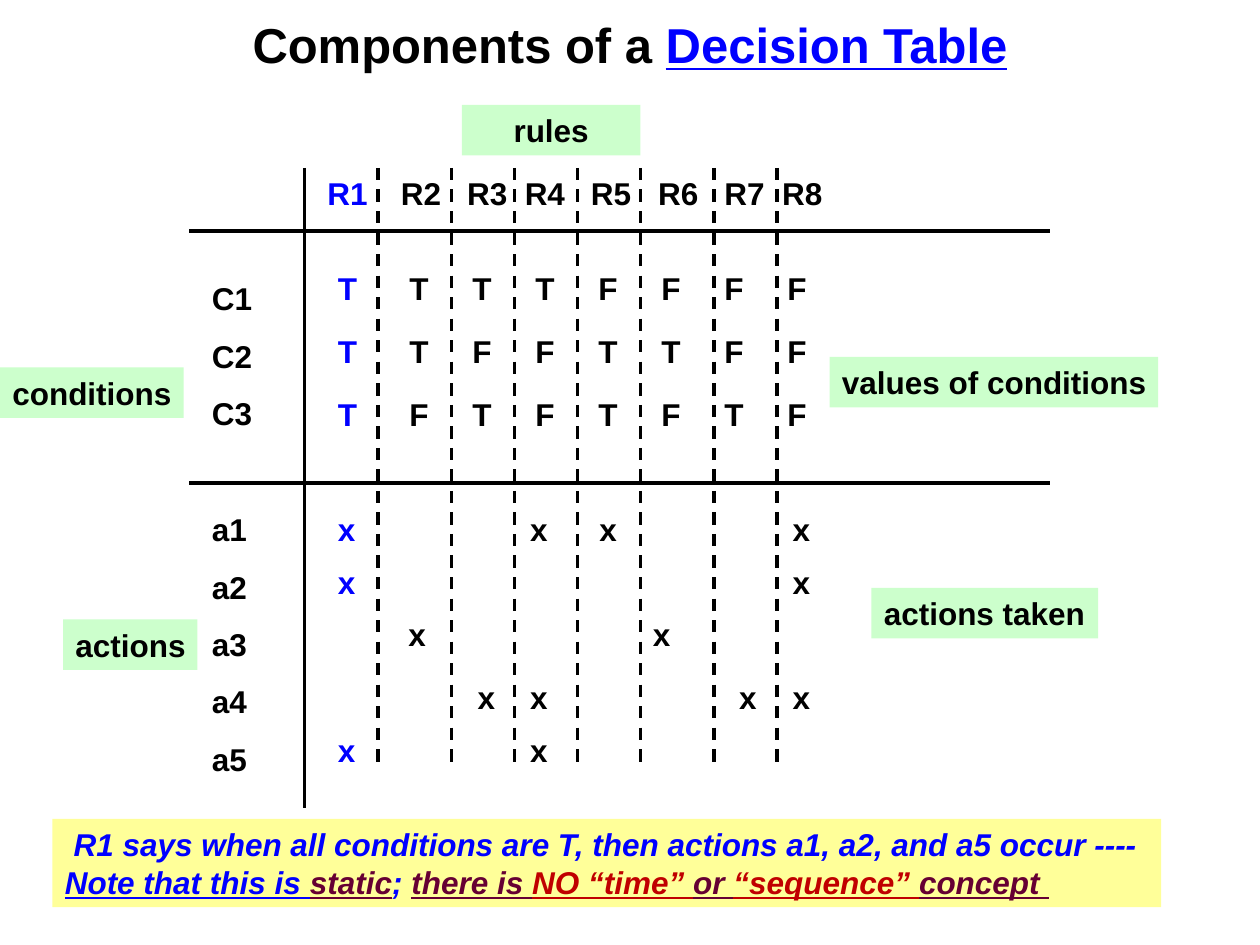
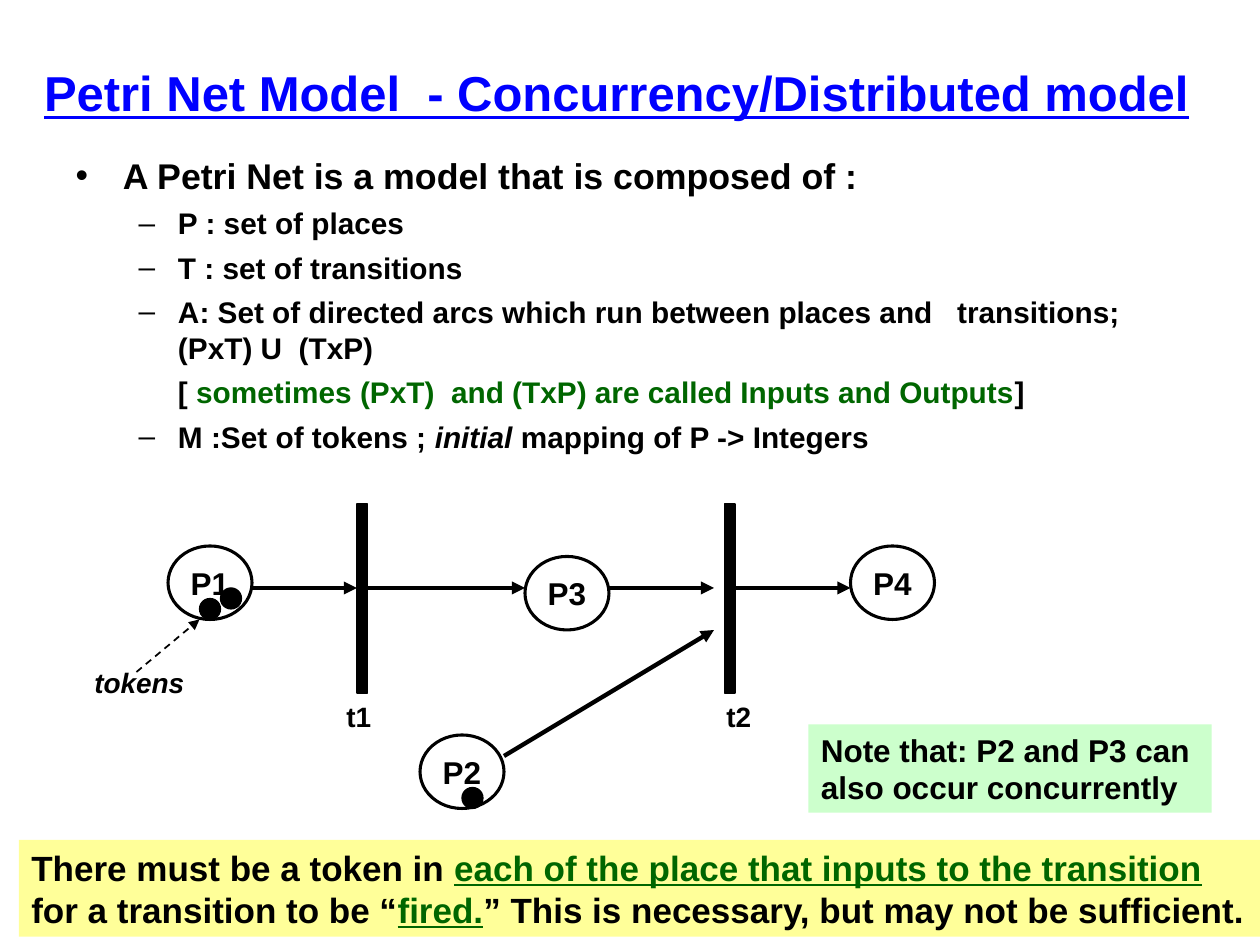
from dataclasses import dataclass
from typing import Optional

from lxml.etree import SubElement
from pptx import Presentation
from pptx.dml.color import RGBColor
from pptx.enum.dml import MSO_LINE
from pptx.enum.shapes import MSO_CONNECTOR, MSO_SHAPE
from pptx.enum.text import MSO_ANCHOR, MSO_AUTO_SIZE, PP_ALIGN
from pptx.oxml.ns import qn
from pptx.util import Inches, Pt

COLS, ROWS = 120, 90
CELL = Inches(10) / COLS
INSET = 1.2
LINE_H = 4.8
BLACK, WHITE, BLUE = "000000", "FFFFFF", "0000FF"
GREEN, WINE, RED = "006600", "660033", "C00000"
MINT, CREAM = "CCFFCC", "FFFF99"
FONT = "Arial"


@dataclass(frozen=True)
class Box:
    left: float
    top: float
    wide: float
    high: float


@dataclass(frozen=True)
class Run:
    text: str
    color: Optional[str] = None
    under: Optional[bool] = None
    slant: Optional[bool] = None


@dataclass(frozen=True)
class Para:
    runs: tuple[Run, ...]
    size: float = 18
    color: str = BLACK
    slant: bool = False
    before: float = 0
    level: int = 0
    align: PP_ALIGN = PP_ALIGN.LEFT
    stops: tuple[float, ...] = ()
    bullet: bool = True


@dataclass(frozen=True)
class Label:
    text: str
    box: Box
    align: PP_ALIGN = PP_ALIGN.LEFT


@dataclass(frozen=True)
class Line:
    start: tuple[float, float]
    end: tuple[float, float]
    width: float = 2.5
    dash: bool = False
    arrow: bool = True


@dataclass(frozen=True)
class Band:
    left: float
    stops: tuple[float, ...]
    rows: tuple[tuple[float, str], ...]


def grid(count: float) -> int:
    return round(count * CELL)


def area(box: Box) -> tuple[int, ...]:
    return tuple(grid(n) for n in (box.left, box.top, box.wide, box.high))


def paint(target, code: str) -> None:
    target.rgb = RGBColor.from_string(code)


def plain(text: str, **look) -> Para:
    return Para((Run(text),), **look)


def write(frame, paras: list[Para], wrap: bool = True) -> None:
    frame.word_wrap = wrap
    frame.auto_size = MSO_AUTO_SIZE.NONE
    for spot, para in enumerate(paras):
        item = frame.add_paragraph() if spot else frame.paragraphs[0]
        item.level, item.alignment = para.level, para.align
        item.space_before = Pt(para.before)
        font = item.font
        font.name, font.size, font.bold = FONT, Pt(para.size), True
        font.italic = para.slant
        paint(font.color, para.color)
        props = item._p.get_or_add_pPr()
        if not para.bullet:
            props.set("indent", "0")
            props.insert_element_before(props.makeelement(qn("a:buNone")), "a:defRPr")
        if para.stops:
            tabs = props.makeelement(qn("a:tabLst"))
            for stop in para.stops:
                SubElement(tabs, qn("a:tab"), pos=str(grid(stop)), algn="l")
            props.insert_element_before(tabs, "a:defRPr")
        for part in para.runs:
            run = item.add_run()
            run.text = part.text
            if part.color:
                paint(run.font.color, part.color)
            if part.under is not None:
                run.font.underline = part.under
            if part.slant is not None:
                run.font.italic = part.slant


def place(holder, box: Box, paras: list[Para]) -> None:
    holder.left, holder.top, holder.width, holder.height = area(box)
    write(holder.text_frame, paras)


def title(slide, box: Box, *runs: Run) -> None:
    place(slide.shapes.title, box, [Para(runs, 28, align=PP_ALIGN.CENTER)])
    slide.shapes.title.text_frame.vertical_anchor = MSO_ANCHOR.MIDDLE


def shape(slide, kind: MSO_SHAPE, box: Box, fill: str, edge: float = 0):
    item = slide.shapes.add_shape(kind, *area(box))
    item.shadow.inherit = False
    item.fill.solid()
    paint(item.fill.fore_color, fill)
    if edge:
        paint(item.line.color, BLACK)
        item.line.width = Pt(edge)
    else:
        item.line.fill.background()
    return item


def panel(slide, box: Box, fill: str, paras: list[Para]) -> None:
    item = shape(slide, MSO_SHAPE.RECTANGLE, box, fill)
    item.text_frame.vertical_anchor = MSO_ANCHOR.TOP
    write(item.text_frame, paras, False)


def tag(slide, label: Label) -> None:
    panel(slide, label.box, MINT, [plain(label.text, align=label.align)])


def note(slide, box: Box, paras: list[Para]) -> None:
    frame = slide.shapes.add_textbox(*area(box)).text_frame
    frame.margin_right = 0
    write(frame, paras)


def draw(slide, line: Line) -> None:
    ends = (grid(n) for n in line.start + line.end)
    item = slide.shapes.add_connector(MSO_CONNECTOR.STRAIGHT, *ends)
    paint(item.line.color, BLACK)
    item.line.width = Pt(line.width)
    if line.dash:
        item.line.dash_style = MSO_LINE.DASH
    if line.arrow:
        SubElement(item.line._get_or_add_ln(), qn("a:tailEnd"), type="triangle")
    SubElement(item._element.spPr, qn("a:effectLst"))


def fill_band(slide, band: Band) -> None:
    first = band.left + INSET
    stops = tuple(stop - first for stop in band.stops)
    for top, row in band.rows:
        head, *rest = (cell.strip(".") for cell in row.split())
        tail = "".join("\t" + cell for cell in rest).rstrip("\t")
        runs = tuple(Run(text, color) for text, color in ((head, BLUE), (tail, None)) if text)
        note(slide, Box(band.left, top, 50, LINE_H), [Para(runs, stops=stops)])


BANDS = (
    Band(30, (38.2, 44.5, 50, 56.3, 62.7, 69, 74.5), ((16, "R1 R2 R3 R4 R5 R6 R7 R8"),)),
    Band(31, tuple(39 + 6 * n for n in range(7)), (
        (25, "T T T T F F F F"),
        (31, "T T F F T T F F"),
        (37, "T F T F T F T F"),
    )),
    Band(31, (38.9, 45.5, 50.5, 57.1, 62.2, 70.4, 75.5), (
        (48, "x . . x x . . x"),
        (53, "x . . . . . . x"),
        (58, ". x . . . x . ."),
        (64, ". . x x . . x x"),
        (69, "x . . x . . . ."),
    )),
)
TAGS = (
    Label("conditions", Box(0, 35, 17.5, LINE_H)),
    Label("actions", Box(6, 59, 12.8, LINE_H)),
    Label("values of conditions", Box(79, 34, 31.3, LINE_H)),
    Label("actions taken", Box(83, 56, 21.6, LINE_H)),
    Label("rules", Box(44, 10, 17, LINE_H), PP_ALIGN.CENTER),
)
RULES = (
    Line((18, 46), (100, 46), 2, arrow=False),
    Line((18, 22), (100, 22), 2, arrow=False),
    Line((29, 16), (29, 77), 2, arrow=False),
    *(Line((x, 16), (x, 73), 1.75, True, False) for x in (36, 43, 49, 55, 61, 68, 74)),
)
PLACES = (("P1", 16, 52), ("P2", 40, 70), ("P3", 50, 53), ("P4", 81, 52))
GATES = (("t1", 34, 31.8), ("t2", 69, 68))
DOTS = ((19, 57), (44, 75), (21, 56))
ARCS = (
    Line((24, 56), (34, 56)),
    Line((48, 72), (68, 60)),
    Line((58, 56), (68, 56)),
    Line((35, 56), (50, 56)),
    Line((70, 56), (81, 56)),
    Line((13, 64), (19, 59), 1, True),
)


def table_slide(slide) -> None:
    title(slide, Box(6, 0, 108, 8.4), Run("Components of a "), Run("Decision Table", BLUE, True))
    for top, mark, count in ((26, "C", 3), (48, "a", 5)):
        names = [plain(f"{mark}{n}", before=11.2) for n in range(1, count + 1)]
        note(slide, Box(19, top, 8.8, 5.4 * count), names)
    for band in BANDS:
        fill_band(slide, band)
    for label in TAGS:
        tag(slide, label)
    panel(slide, Box(5, 78, 105.6, 8.4), CREAM, [
        plain(" R1 says when all conditions are T, then actions a1, a2, and a5 occur ----",
              color=BLUE, slant=True),
        Para((Run("Note that this is ", under=True), Run("static", WINE, True), Run("; "),
              Run("there is ", WINE, True), Run("NO “time” ", RED, True), Run("or ", WINE, True),
              Run("“sequence” ", RED, True), Run("concept ", WINE, True)),
             color=BLUE, slant=True),
    ])
    for line in RULES:
        draw(slide, line)


def net_slide(slide) -> None:
    title(slide, Box(2, 3.6, 113.4, 10.4),
          Run("Petri Net Model  - Concurrency/Distributed model", BLUE, True))
    sub = {"size": 17, "before": 5, "level": 1}
    place(slide.placeholders[1], Box(6, 14, 108, 30), [
        plain("A Petri Net is a model that is composed of :", size=20.4, before=6),
        plain("P : set of places", **sub),
        plain("T : set of transitions", **sub),
        plain("A: Set of directed arcs which run between places and   transitions; (PxT) U  (TxP)",
              **sub),
        Para((Run("[ "), Run("sometimes (PxT)  and (TxP) are called Inputs and Outputs", GREEN),
              Run("]")), bullet=False, **sub),
        Para((Run("M :Set of tokens ; "), Run("initial ", slant=True),
              Run("mapping of P -> Integers")), **sub),
    ])
    for name, left, top in PLACES:
        item = shape(slide, MSO_SHAPE.OVAL, Box(left, top, 8, 7), WHITE, 1.75)
        item.text_frame.vertical_anchor = MSO_ANCHOR.MIDDLE
        write(item.text_frame, [plain(name, align=PP_ALIGN.CENTER)], False)
    for name, left, edge in GATES:
        shape(slide, MSO_SHAPE.RECTANGLE, Box(left, 48, 1, 18), BLACK, 0.75)
        note(slide, Box(edge, 66, 4.7, 4.4), [plain(name, size=16)])
    for left, top in DOTS:
        shape(slide, MSO_SHAPE.OVAL, Box(left, top, 2, 2), BLACK, 0.75)
    note(slide, Box(7.8, 62.8, 10.9, 4.4), [plain("tokens", size=16, slant=True)])
    for arc in ARCS:
        draw(slide, arc)
    panel(slide, Box(77, 69, 38.4, 8.4), MINT,
          [plain("Note that: P2 and P3 can"), plain("also occur concurrently")])
    panel(slide, Box(1.8, 80, 118.2, 9.2), CREAM, [
        Para((Run("There must be a token in "),
              Run("each of the place that inputs to the transition", GREEN, True)), 20),
        Para((Run("for a transition to be “"), Run("fired.", GREEN, True),
              Run("” This is necessary, but may not be sufficient.")), 20),
    ])


def main() -> None:
    deck = Presentation()
    deck.slide_width, deck.slide_height = grid(COLS), grid(ROWS)
    for kind, build in ((5, table_slide), (1, net_slide)):
        build(deck.slides.add_slide(deck.slide_layouts[kind]))
    deck.save("out.pptx")


if __name__ == "__main__":
    main()
